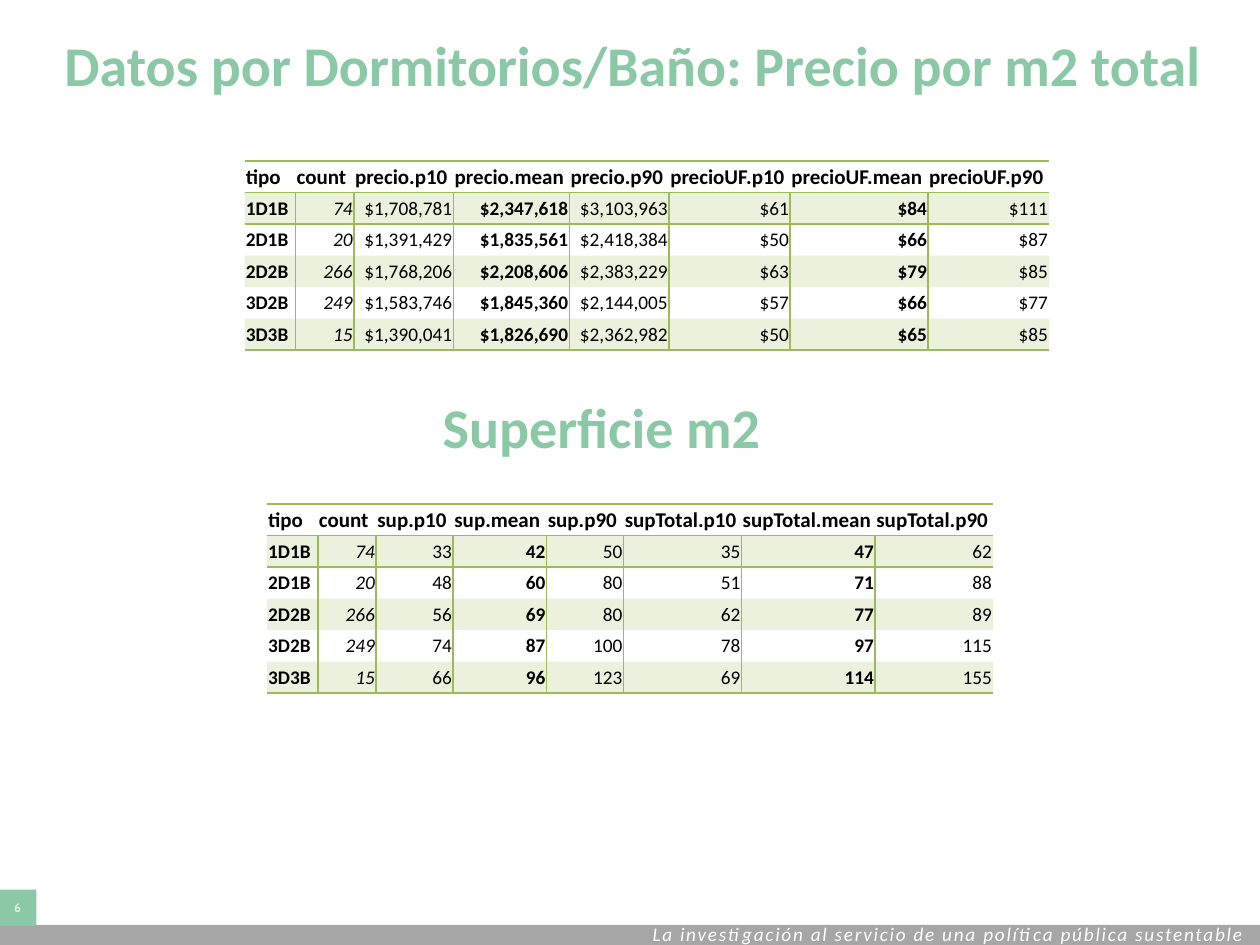
from pptx import Presentation
from pptx import util as u
from pptx.dml.color import RGBColor
from pptx.enum import shapes, text
from pptx.oxml import parse_xml
from pptx.oxml.ns import nsdecls, qn

NO_STYLE = "{2D5ABB26-0587-4C30-8999-92F81FD0307C}"
MINT, GREEN, GREY, WHITE, BLACK = "8BC8A6", "9BBB59", "A6A6A6", "FFFFFF", "000000"
LEFT, CENTER, RIGHT = text.PP_ALIGN.LEFT, text.PP_ALIGN.CENTER, text.PP_ALIGN.RIGHT


def color(value):
    return RGBColor.from_string(value)


class Deck:
    font = "Calibri"
    row_height = 18
    ruled = (0, 1, 2, 4, 5)  # columns with a line on their right
    bold = (0, 3, 6)
    italic = (1,)

    def __init__(self, prs):
        self.s = prs.slides.add_slide(prs.slide_layouts[5])

    def add_text(self, tf, words, size, fill, align=LEFT, bold=False, italic=False,
                 font=None, inset=None):
        tf.word_wrap = True
        tf.vertical_anchor = text.MSO_ANCHOR.MIDDLE
        if inset:
            x, y = (u.Pt(v) for v in inset)
            tf.margin_left = tf.margin_right = x
            tf.margin_top = tf.margin_bottom = y
        return self.add_run(tf.paragraphs[0], words, size, fill, align, bold, italic, font)

    def add_run(self, p, words, size, fill, align, bold, italic, font=None):
        p.alignment = align
        r = p.add_run()
        r.text = words
        f = r.font
        f.name, f.size, f.bold, f.italic = font or self.font, u.Pt(size), bold, italic
        f.color.rgb = color(fill)
        return r

    def title(self, words, *box):
        sp = self.s.shapes.title
        sp.left, sp.top, sp.width, sp.height = map(u.Pt, box)
        sp.text_frame.auto_size = text.MSO_AUTO_SIZE.NONE
        self.add_text(sp.text_frame, words, 32, MINT, bold=True, inset=(3, 1.5))

    def textbox(self, words, box, size, fill, **style):
        sp = self.s.shapes.add_textbox(*map(u.Pt, box))
        return sp, self.add_text(sp.text_frame, words, size, fill, **style)

    def rect(self, fill, *box):
        sp = self.s.shapes.add_shape(shapes.MSO_SHAPE.RECTANGLE, *map(u.Pt, box))
        sp.shadow.inherit = False
        sp.fill.solid()
        sp.fill.fore_color.rgb = color(fill)
        sp.line.fill.background()
        return sp

    def table(self, left, top, widths, rows):
        frame = self.s.shapes.add_table(
            len(rows), len(widths), u.Pt(left), u.Pt(top),
            u.Pt(sum(widths)), u.Pt(self.row_height * len(rows)))
        tbl = frame.table
        tbl.first_row = tbl.horz_banding = False
        frame._element.find(".//" + qn("a:tableStyleId")).text = NO_STYLE
        for col, width in zip(tbl.columns, widths):
            col.width = u.Pt(width)
        for i, row in enumerate(rows):
            tbl.rows[i].height = u.Pt(self.row_height)
            for j, words in enumerate(row):
                self.cell(tbl.cell(i, j), words, i, j, last=i == len(rows) - 1)

    def cell(self, cell, words, i, j, last):
        head = i == 0
        cell.vertical_anchor = text.MSO_ANCHOR.MIDDLE
        cell.margin_left = cell.margin_right = cell.margin_top = u.Pt(0.7)
        cell.margin_bottom = 0
        self.add_run(cell.text_frame.paragraphs[0], words, 12 if head else 11, BLACK,
                     LEFT if head or j == 0 else RIGHT,
                     head or j in self.bold, not head and j in self.italic)
        # Odd rows carry a light band
        if i % 2:
            cell.fill.solid()
            cell.fill.fore_color.rgb = color(GREEN)
            cell._tc.tcPr.find(".//" + qn("a:srgbClr")).append(
                parse_xml(f'<a:alpha {nsdecls("a")} val="20000"/>'))
        else:
            cell.fill.background()
        edges = {"L": not head and j - 1 in self.ruled,
                 "R": not head and j in self.ruled,
                 "T": head or i == 1, "B": head or last}
        for pos, edge in enumerate(e for e, on in edges.items() if on):
            cell._tc.tcPr.insert(pos, parse_xml(
                f'<a:ln{edge} {nsdecls("a")} w="12700"><a:solidFill>'
                f'<a:srgbClr val="{GREEN}"/></a:solidFill></a:ln{edge}>'))


def header(prefix, total):
    stats = ("p10", "mean", "p90")
    return ["tipo", "count"] + [f"{name}.{stat}" for name in (prefix, total) for stat in stats]


TYPES = [("1D1B", "74"), ("2D1B", "20"), ("2D2B", "266"), ("3D2B", "249"), ("3D3B", "15")]
PRICES = [
    (1708781, 2347618, 3103963, 61, 84, 111),
    (1391429, 1835561, 2418384, 50, 66, 87),
    (1768206, 2208606, 2383229, 63, 79, 85),
    (1583746, 1845360, 2144005, 57, 66, 77),
    (1390041, 1826690, 2362982, 50, 65, 85),
]
AREAS = [
    (33, 42, 50, 35, 47, 62),
    (48, 60, 80, 51, 71, 88),
    (56, 69, 80, 62, 77, 89),
    (74, 87, 100, 78, 97, 115),
    (66, 96, 123, 69, 114, 155),
]


def body(values, prefix=""):
    return [[*kind, *(f"{prefix}{v:,}" for v in row)] for kind, row in zip(TYPES, values)]


def main():
    prs = Presentation()
    prs.slide_width, prs.slide_height = u.Pt(720), u.Pt(540)
    deck = Deck(prs)

    # Footer band, motto and page number
    deck.rect(GREY, -0.7, 528.5, 722, 11.5)
    sp, r = deck.textbox("La investigación al servicio de una política pública sustentable",
                         (365.8, 523.4, 405.4, 20.9), 11, WHITE, italic=True)
    sp.text_frame.auto_size = text.MSO_AUTO_SIZE.SHAPE_TO_FIT_TEXT
    r._r.get_or_add_rPr().set("spc", "100")
    page = deck.rect(MINT, -0.7, 508.3, 21.6, 20.9)
    deck.add_text(page.text_frame, "6", 7, "ECECEC", align=CENTER, bold=True,
                  font="Cabin", inset=(0, 0))

    # Prices
    deck.title("Datos por Dormitorios/Baño: Precio por m2 total", 33.8, 3.6, 671.8, 65.5)
    deck.table(139.8, 92, (29, 33.4, 57, 66.2, 57, 69.2, 78.8, 69.2),
               [header("precio", "precioUF")] + body(PRICES, "$"))

    # Areas
    deck.textbox("Superficie m2", (7.9, 211, 671.8, 65.5), 32, MINT,
                 align=CENTER, bold=True, inset=(3, 1.5))
    deck.table(152.6, 288, (29, 33.4, 44, 53.4, 44, 67.4, 76.4, 67.4),
               [header("sup", "supTotal")] + body(AREAS))

    prs.save("out.pptx")


if __name__ == "__main__":
    main()
